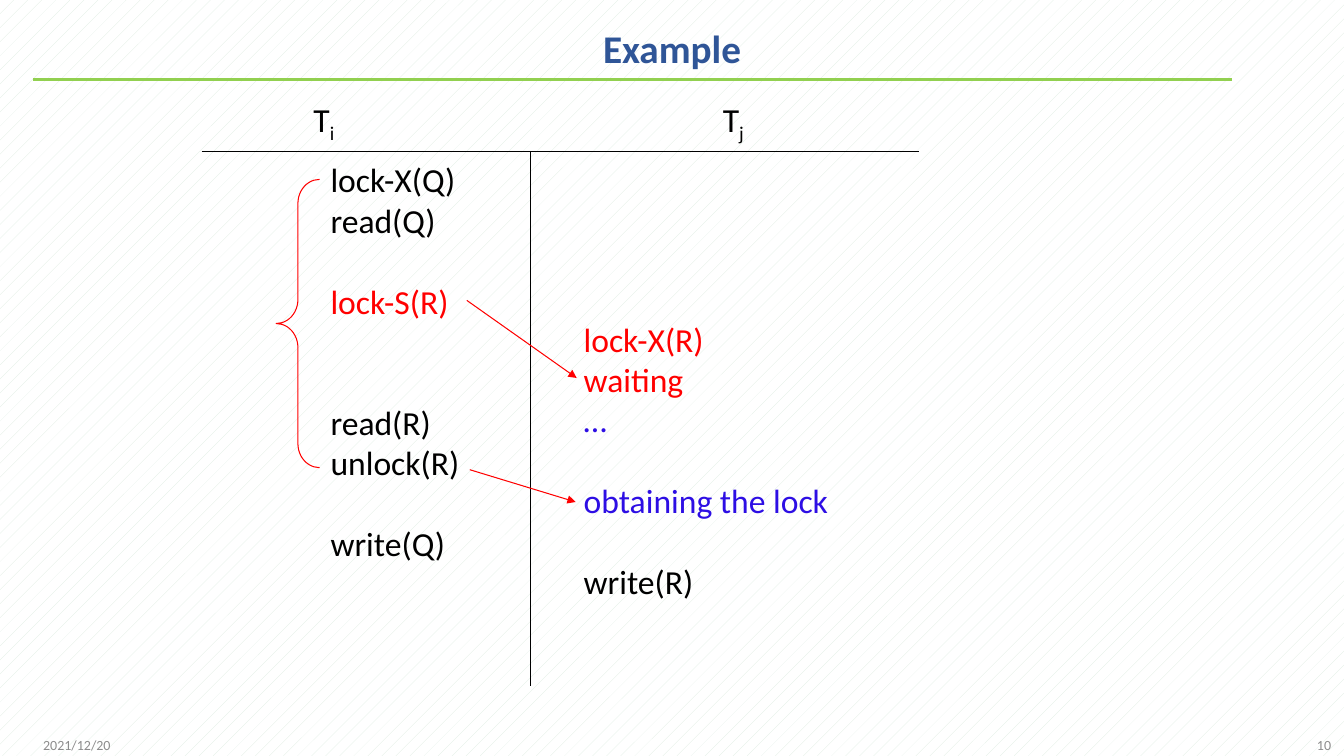
from lxml import etree
from pptx import Presentation
from pptx.dml.color import RGBColor
from pptx.enum.dml import MSO_PATTERN
from pptx.enum.shapes import MSO_CONNECTOR, MSO_SHAPE
from pptx.enum.text import MSO_ANCHOR, PP_ALIGN
from pptx.oxml.ns import qn
from pptx.util import Inches, Pt

PCT5 = MSO_PATTERN.PERCENT_5
STRAIGHT = MSO_CONNECTOR.STRAIGHT
BRACE = MSO_SHAPE.LEFT_BRACE
TOP, MIDDLE = MSO_ANCHOR.TOP, MSO_ANCHOR.MIDDLE
LEFT, CENTER, RIGHT = PP_ALIGN.LEFT, PP_ALIGN.CENTER, PP_ALIGN.RIGHT
FONT = "Calibri"
LINE_PT = 29
COLORS = {
    "title": "2F5597", "rule": "92D050", "footer": "8C8C8C", "black": "000000",
    "red": "FF0000", "blue": "2D0EE4", "dots": "DCECE0", "white": "FFFFFF",
}


def rgb(name):
    """Return the named colour."""
    return RGBColor.from_string(COLORS[name])


def add_run(p, text, size=24, color="black", bold=False, baseline=0):
    """Add a formatted run to a paragraph."""
    r = p.add_run()
    r.text = text
    r.font.name, r.font.size, r.font.bold = FONT, Pt(size), bold
    r.font.color.rgb = rgb(color)
    if baseline:
        r._r.get_or_add_rPr().set("baseline", str(baseline * 1000))


def add_text(s, box, text="", wrap=True, anchor=TOP, align=LEFT, **fmt):
    """Add a text box and return its text frame."""
    tf = s.shapes.add_textbox(*map(Inches, box)).text_frame
    tf.word_wrap, tf.vertical_anchor = wrap, anchor
    p = tf.paragraphs[0]
    p.alignment = align
    if text:
        add_run(p, text, **fmt)
    return tf


def add_steps(s, box, steps):
    """Add a schedule column from (text, colour, skipped lines) steps."""
    tf = add_text(s, box, wrap=False)
    for i, (text, color, skipped) in enumerate(steps):
        p = tf.add_paragraph() if i else tf.paragraphs[0]
        if skipped:
            p.space_before = Pt(LINE_PT * skipped)
        add_run(p, text, color=color)


def add_heading(s, x, index):
    """Add a transaction name with its subscript."""
    tf = add_text(s, (x, 0.93, 0.42, 0.5), "T", wrap=False)
    add_run(tf.paragraphs[0], index, baseline=-25)


def add_line(s, x1, y1, x2, y2, color="black", width=0.75, arrow=False):
    """Add a straight line, with an arrowhead at its end if asked."""
    line = s.shapes.add_connector(STRAIGHT, *map(Inches, (x1, y1, x2, y2)))
    line.line.color.rgb = rgb(color)
    line.line.width = Pt(width)
    if arrow:
        ln = line.line._get_or_add_ln()
        etree.SubElement(ln, qn("a:tailEnd"), type="triangle")
    etree.SubElement(line._element.spPr, qn("a:effectLst"))


def add_brace(s, box):
    """Add the red brace beside the first column."""
    sp = s.shapes.add_shape(BRACE, *map(Inches, box))
    sp.shadow.inherit = False
    sp.adjustments[0], sp.adjustments[1] = 0.555, 0.5
    sp.fill.background()
    sp.line.color.rgb = rgb("red")
    sp.line.width = Pt(0.75)


def set_background(s):
    """Give the slide its faint pattern."""
    fill = s.background.fill
    fill.patterned()
    fill.pattern = PCT5
    fill.fore_color.rgb = rgb("dots")
    fill.back_color.rgb = rgb("white")


def main():
    """Build the locking example slide."""
    prs = Presentation()
    prs.slide_width, prs.slide_height = Inches(13.33), Inches(7.5)
    s = prs.slides.add_slide(prs.slide_layouts[6])
    set_background(s)

    add_line(s, 0.33, 0.79, 12.22, 0.79, color="rule", width=2.25)
    add_text(s, (0.34, 0.09, 12.65, 0.77), "Example", anchor=MIDDLE,
             align=CENTER, size=28, color="title", bold=True)
    for x, text, align in ((0.33, "2021/12/20", LEFT), (10.3, "10", RIGHT)):
        add_text(s, (x, 7.19, 3, 0.4), text, anchor=MIDDLE, align=align,
                 size=10, color="footer")

    add_steps(s, (3.18, 1.53, 1.49, 4.95), [
        ("lock-X(Q)", "black", 0), ("read(Q)", "black", 0),
        ("lock-S(R)", "red", 1), ("read(R)", "black", 2),
        ("unlock(R)", "black", 0), ("write(Q)", "black", 1),
    ])
    add_steps(s, (5.69, 3.11, 2.65, 2.93), [
        ("lock-X(R)", "red", 0), ("waiting", "red", 0), ("…", "blue", 0),
        ("obtaining the lock", "blue", 1), ("write(R)", "black", 1),
    ])
    add_line(s, 2, 1.5, 9.11, 1.5)
    add_line(s, 5.26, 1.5, 5.26, 6.81)
    add_heading(s, 3.01, "i")
    add_heading(s, 7.07, "j")

    add_line(s, 4.63, 2.98, 5.72, 3.75, color="red", arrow=True)
    add_line(s, 4.66, 4.66, 5.71, 4.98, color="red", arrow=True)
    add_brace(s, (2.74, 1.78, 0.43, 2.86))
    prs.save("out.pptx")


if __name__ == "__main__":
    main()
